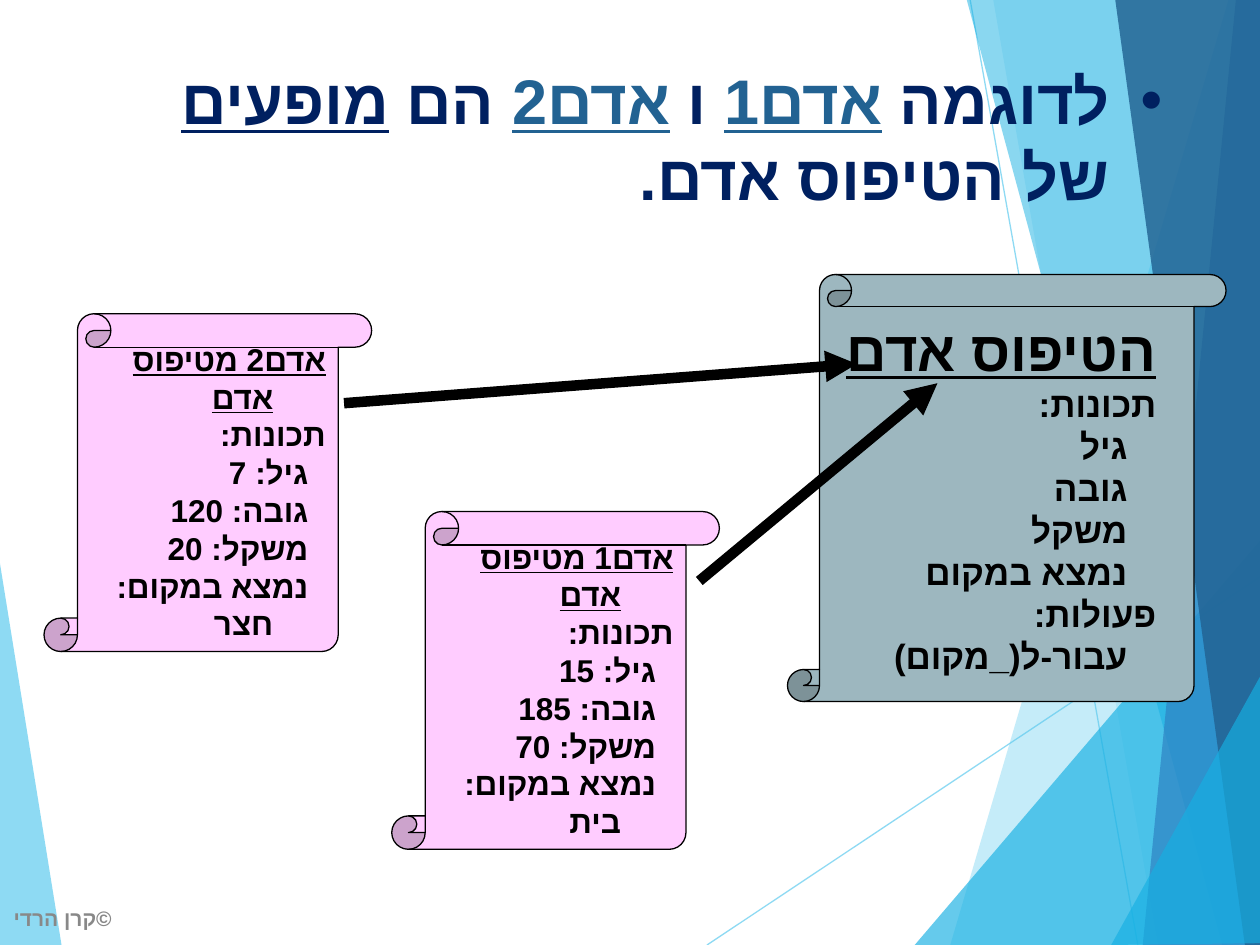
from dataclasses import dataclass

from lxml.etree import SubElement
from pptx import Presentation
from pptx.dml.color import RGBColor
from pptx.enum.shapes import MSO_CONNECTOR as CONN, MSO_SHAPE as SHAPE
from pptx.enum.text import MSO_ANCHOR as ANCHOR, PP_ALIGN as ALIGN
from pptx.oxml.ns import qn
from pptx.util import Pt

NAVY, BLUE, SKY, CYAN, BLACK = "002060", "226292", "5FCBEF", "16B0E3", "000000"
SERIF, SANS = "Times New Roman", "Arial"


@dataclass
class Panel:
    points: list
    color: str
    opacity: int


@dataclass
class Line:
    start: tuple
    end: tuple
    color: str = BLACK
    width: float = 6
    opacity: int = 100
    arrow: bool = True


@dataclass
class Row:
    text: str
    margin: float
    indent: float
    size: float
    underline: bool = False


@dataclass
class Scroll:
    box: tuple
    fold: float
    fill: str
    rows: list


def rgb(value: str) -> RGBColor:
    return RGBColor.from_string(value)


def set_opacity(fill, percent: int) -> None:
    color = fill._xPr.find(qn("a:solidFill"))[0]
    SubElement(color, qn("a:alpha"), val=str(percent * 1000))


def add_panel(s, panel: Panel) -> None:
    first, *rest = [(Pt(x), Pt(y)) for x, y in panel.points]
    builder = s.shapes.build_freeform(*first)
    builder.add_line_segments(rest, close=True)
    sp = builder.convert_to_shape()
    sp.shadow.inherit = False
    sp.fill.solid()
    sp.fill.fore_color.rgb = rgb(panel.color)
    set_opacity(sp.fill, panel.opacity)
    sp.line.fill.background()


def add_line(s, line: Line) -> None:
    ends = [Pt(v) for v in (*line.start, *line.end)]
    cn = s.shapes.add_connector(CONN.STRAIGHT, *ends)
    cn.line.width = Pt(line.width)
    cn.line.color.rgb = rgb(line.color)
    set_opacity(cn.line.fill, line.opacity)
    if line.arrow:
        SubElement(cn.line._get_or_add_ln(), qn("a:tailEnd"), type="triangle")
    SubElement(cn._element.spPr, qn("a:effectLst"))


def format_rtl(p, align, margin: float = 0, indent: float = 0, bullet: str = "") -> None:
    p.alignment = align
    pPr = p._p.get_or_add_pPr()
    pPr.set("rtl", "1")
    pPr.set("marL", str(Pt(margin)))
    pPr.set("indent", str(Pt(indent)))
    if bullet:
        color = SubElement(pPr, qn("a:buClr"))
        SubElement(color, qn("a:srgbClr"), val=NAVY)
        SubElement(pPr, qn("a:buFont"), typeface=SANS)
        SubElement(pPr, qn("a:buChar"), char=bullet)
    else:
        SubElement(pPr, qn("a:buNone"))


def add_run(p, text: str, size: float, color: str, font: str, underline: bool = False) -> None:
    r = p.add_run()
    r.text = text
    r.font.size = Pt(size)
    r.font.bold = True
    r.font.underline = underline
    r.font.name = font
    r.font.color.rgb = rgb(color)
    SubElement(r._r.get_or_add_rPr(), qn("a:cs"), typeface=SANS)


def add_text(s, box: tuple, anchor):
    tf = s.shapes.add_textbox(*[Pt(v) for v in box]).text_frame
    tf.word_wrap = True
    tf.vertical_anchor = anchor
    return tf.paragraphs[0]


def add_scroll(s, scroll: Scroll) -> None:
    sp = s.shapes.add_shape(SHAPE.VERTICAL_SCROLL, *[Pt(v) for v in scroll.box])
    sp.adjustments[0] = scroll.fold
    sp.shadow.inherit = False
    sp.fill.solid()
    sp.fill.fore_color.rgb = rgb(scroll.fill)
    sp.line.color.rgb = rgb(BLACK)
    sp.line.width = Pt(0.75)
    tf = sp.text_frame
    tf.word_wrap = True
    tf.vertical_anchor = ANCHOR.MIDDLE
    for i, row in enumerate(scroll.rows):
        p = tf.add_paragraph() if i else tf.paragraphs[0]
        format_rtl(p, ALIGN.RIGHT, row.margin, row.indent)
        add_run(p, row.text, row.size, BLACK, SANS, row.underline)


def person(left: float, top: float, name: str, age: int, height: int, weight: int,
           place: str) -> Scroll:
    items = [f"גיל: {age}", f"גובה: {height}", f"משקל: {weight}", f"נמצא במקום: {place}"]
    rows = [Row(f"{name} מטיפוס אדם", 30, -30, 18, True), Row("תכונות:", 30, -30, 18)]
    rows += [Row(item, 30, -20, 18) for item in items]
    return Scroll((left, top, 187.2, 193), 0.102, "FFCCFF", rows)


def type_row(text: str, nested: bool = True) -> Row:
    return Row(text, 31 if nested else 14.4, 0, 20)


# Background facets, back to front, with two hairlines behind most of them
LEFT_FACET = Panel([(-1, 316), (35.3, 541), (-1, 540)], SKY, 70)
HAIRLINES = [
    Line((404, 540), (721, 329), SKY, 0.75, 70, False),
    Line((554.4, 0), (650.2, 540), SKY, 0.75, 70, False),
]
RIGHT_FACETS = [
    Panel([(702, 0), (543, 540), (721, 541), (721, 0)], SKY, 36),
    Panel([(567.4, -1), (661.7, 540), (721, 540), (721, -1)], SKY, 20),
    Panel([(522.7, 540), (720, 309), (721, 540)], CYAN, 66),
    Panel([(552.2, -1), (698.4, 540), (721, 539), (721, -1)], CYAN, 50),
    Panel([(706.3, -1), (653, 540), (721, 540), (720, -1)], "2E83C3", 70),
    Panel([(637.2, -1), (711.4, 540), (721, 540), (720, -1)], BLUE, 82),
    Panel([(635, 540), (721, 385), (721, 539)], CYAN, 66),
]

TITLE = [
    ("לדוגמה ", NAVY, False), ("אדם1", BLUE, True), (" ו ", NAVY, False),
    ("אדם2", BLUE, True), (" הם ", NAVY, False), ("מופעים", NAVY, True),
    (" של הטיפוס אדם.", NAVY, False),
]

PERSON_TYPE = Scroll((450, 156.9, 250.6, 244), 0.075, "9DB7BF", [
    Row("הטיפוס אדם", 14.4, 0, 32, True),
    type_row("תכונות:", False),
    *[type_row(text) for text in ("גיל", "גובה", "משקל", "נמצא במקום")],
    type_row("פעולות:", False),
    type_row("עבור-ל(_מקום)"),
])


def main() -> None:
    prs = Presentation()
    prs.slide_width, prs.slide_height = Pt(720), Pt(540)
    s = prs.slides.add_slide(prs.slide_layouts[6])

    add_panel(s, LEFT_FACET)
    for line in HAIRLINES:
        add_line(s, line)
    for panel in RIGHT_FACETS:
        add_panel(s, panel)

    # Title
    p = add_text(s, (54, 31.7, 626.4, 93.6), ANCHOR.TOP)
    format_rtl(p, ALIGN.RIGHT, 39, -30, "•")
    for text, color, underline in TITLE:
        add_run(p, text, 36, color, SERIF, underline)

    # The type and its two instances, each with an arrow to the type
    add_scroll(s, PERSON_TYPE)
    add_line(s, Line((399.6, 332), (535.7, 219)))
    add_scroll(s, person(223.9, 292.3, "אדם1", 15, 185, 70, "בית"))
    add_line(s, Line((196.6, 230.4), (489.6, 208)))
    add_scroll(s, person(25.2, 179.3, "אדם2", 7, 120, 20, "חצר"))

    # Footer
    p = add_text(s, (0.7, 514, 83.5, 21.6), ANCHOR.MIDDLE)
    format_rtl(p, ALIGN.LEFT)
    add_run(p, "©קרן הרדי", 12, "888888", SERIF)

    prs.save("out.pptx")


if __name__ == "__main__":
    main()
